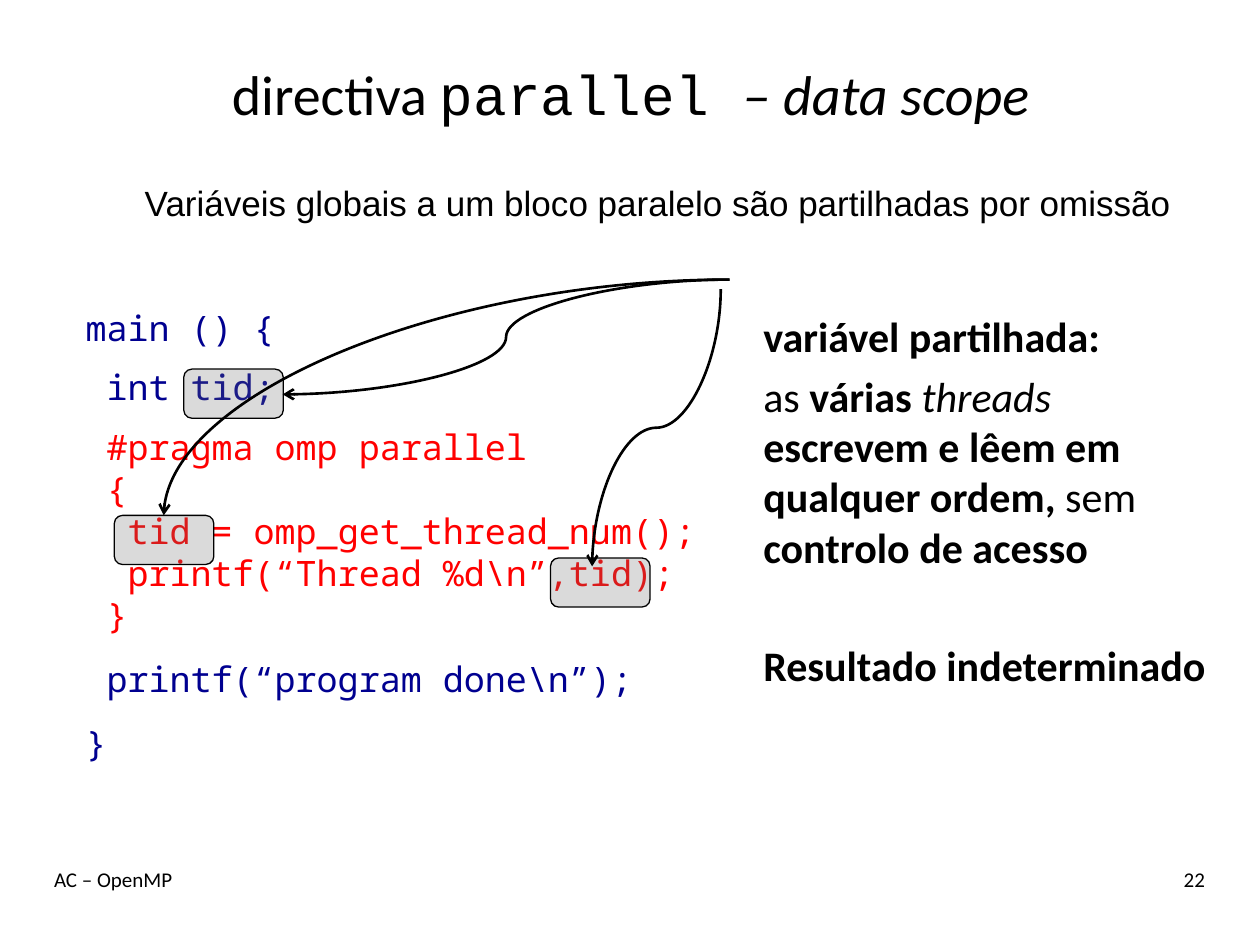
from lxml import etree
from pptx import Presentation
from pptx.dml.color import RGBColor
from pptx.enum.shapes import MSO_CONNECTOR, MSO_SHAPE
from pptx.enum.text import MSO_ANCHOR, PP_ALIGN
from pptx.oxml.ns import qn
from pptx.util import Pt

CURVE = MSO_CONNECTOR.CURVE
ROUNDED = MSO_SHAPE.ROUNDED_RECTANGLE
MIDDLE = MSO_ANCHOR.MIDDLE
LEFT, CENTER, RIGHT = PP_ALIGN.LEFT, PP_ALIGN.CENTER, PP_ALIGN.RIGHT
BLACK = RGBColor(0x00, 0x00, 0x00)
GRAY = RGBColor(0x6E, 0x6E, 0x6E)
NAVY = RGBColor(0x00, 0x00, 0x90)
RED = RGBColor(0xFF, 0x00, 0x00)

presentation = Presentation()
presentation.slide_width = Pt(720)
presentation.slide_height = Pt(540)
slide = presentation.slides.add_slide(presentation.slide_layouts[6])


def add_text_frame(left, top, width, height):
    text_frame = slide.shapes.add_textbox(Pt(left), Pt(top), Pt(width), Pt(height)).text_frame
    text_frame.word_wrap = True
    return text_frame


def style(paragraph, font_name, size, color=BLACK, alignment=LEFT):
    paragraph.alignment = alignment
    paragraph.font.name = font_name
    paragraph.font.size = Pt(size)
    paragraph.font.color.rgb = color


title = add_text_frame(24.5, 20.2, 671.8, 66.2)
title.vertical_anchor = MIDDLE
paragraph = title.paragraphs[0]
style(paragraph, "Calibri", 32, alignment=CENTER)
for text, font_name, italic in [
    ("directiva ", "Calibri", False),
    ("parallel ", "Courier New", False),
    ("– data scope", "Calibri", True),
]:
    run = paragraph.add_run()
    run.text = text
    run.font.name = font_name
    run.font.italic = italic

explanation = [
    (5, [("variável partilhada:", True, False)]),
    (5, [
        ("as ", False, False),
        ("várias ", True, False),
        ("threads ", False, True),
        ("escrevem e lêem em qualquer ordem,", True, False),
        (" sem ", False, False),
        ("controlo de acesso", True, False),
    ]),
    (38.5, [("Resultado indeterminado", True, False)]),
]
body = add_text_frame(429.1, 174.2, 275.8, 249.1)
for index, (space_before, runs) in enumerate(explanation):
    paragraph = body.add_paragraph() if index else body.paragraphs[0]
    style(paragraph, "Calibri", 24)
    paragraph.space_before = Pt(space_before)
    for text, bold, italic in runs:
        run = paragraph.add_run()
        run.text = text
        run.font.bold = bold
        run.font.italic = italic

code_lines = [
    ("main () {", 0, NAVY, 0, 10),
    ("int tid;", 1, NAVY, 0, 10),
    ("#pragma omp parallel", 1, RED, 0, 0),
    ("{", 1, RED, 0, 0),
    ("tid = omp_get_thread_num();", 2, RED, 0, 0),
    ("printf(“Thread %d\\n”,tid);", 2, RED, 0, 0),
    ("}", 1, RED, 0, 0),
    ("printf(“program done\\n”);", 1, NAVY, 12.5, 0),
    ("}", 0, NAVY, 12.5, 0),
]
code = add_text_frame(41.8, 171.4, 365.8, 303.1)
for index, (text, depth, color, space_before, space_after) in enumerate(code_lines):
    paragraph = code.add_paragraph() if index else code.paragraphs[0]
    paragraph.text = text
    style(paragraph, "Noto Sans Mono", 20, color)
    paragraph.space_before = Pt(space_before)
    paragraph.space_after = Pt(space_after)
    paragraph._p.get_or_add_pPr().set("marL", str(Pt(12 * depth)))

for left, top in [(105, 210.9), (65.3, 294.5), (314.6, 318.8)]:
    highlight = slide.shapes.add_shape(ROUNDED, Pt(left), Pt(top), Pt(56.9), Pt(28.1))
    highlight.shadow.inherit = False
    highlight.fill.solid()
    highlight.fill.fore_color.rgb = GRAY
    color_element = highlight.element.spPr.find(qn("a:solidFill"))[0]
    etree.SubElement(color_element, qn("a:alpha"), val="25000")
    highlight.line.color.rgb = BLACK
    highlight.line.width = Pt(0.75)

for preset, rotation, start_x, start_y, end_x, end_y in [
    ("curvedConnector3", 0, 416.9, 159.8, 161.6, 225.4),
    ("curvedConnector2", 0, 416.9, 159.8, 93.6, 294.5),
    ("curvedConnector3", 90, 295.9, 207.7, 454.3, 281.2),
]:
    arrow = slide.shapes.add_connector(CURVE, Pt(start_x), Pt(start_y), Pt(end_x), Pt(end_y))
    arrow.line.color.rgb = BLACK
    arrow.line.width = Pt(1.5)
    properties = arrow.element.spPr
    properties.find(qn("a:prstGeom")).set("prst", preset)
    properties.find(qn("a:xfrm")).set("rot", str(rotation * 60000))
    etree.SubElement(properties.find(qn("a:ln")), qn("a:tailEnd"), type="arrow")
    etree.SubElement(properties, qn("a:effectLst"))

for text, left, top, width, height, font_name, size, alignment in [
    ("Variáveis globais a um bloco paralelo são partilhadas por omissão",
     75.6, 100.1, 605.5, 31.7, "Arial", 20, LEFT),
    ("AC – OpenMP", 23.8, 491.8, 504, 36, "Calibri", 12, LEFT),
    ("22", 599.8, 491.8, 95.8, 36, "Calibri", 12, RIGHT),
]:
    paragraph = add_text_frame(left, top, width, height).paragraphs[0]
    paragraph.text = text
    style(paragraph, font_name, size, alignment=alignment)

presentation.save("out.pptx")
